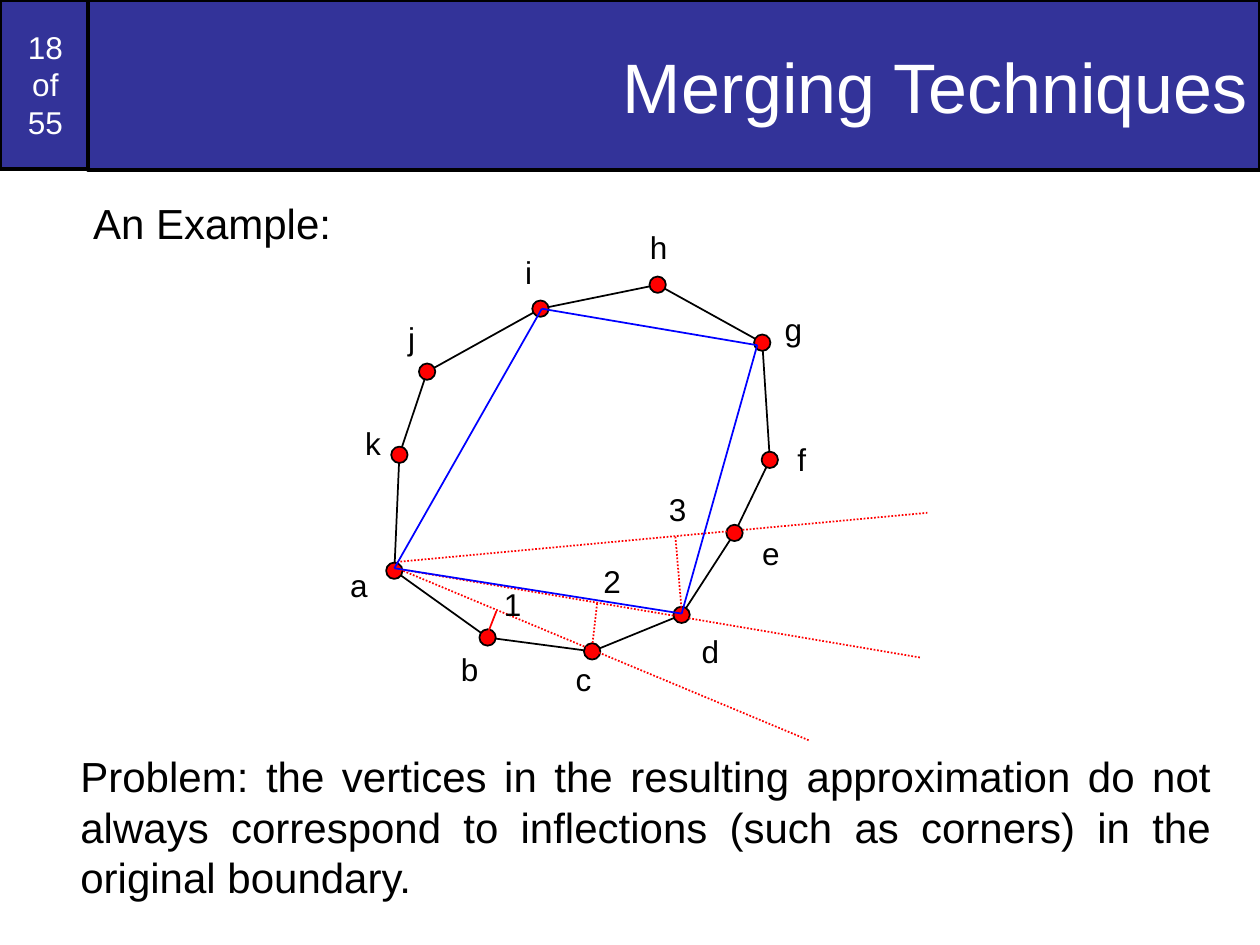
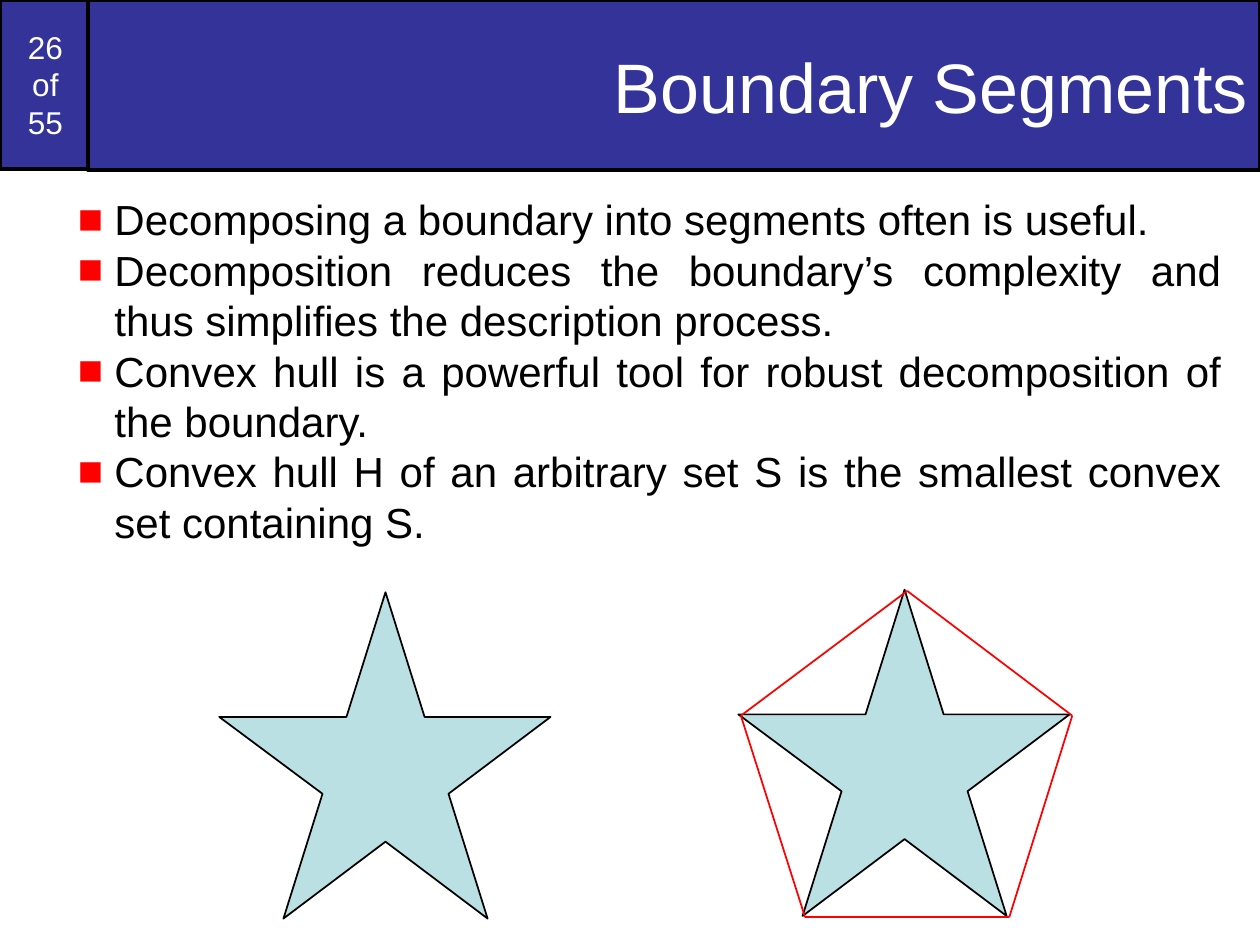
from itertools import pairwise

from lxml import etree
from pptx import Presentation
from pptx import util as u
from pptx.dml.color import RGBColor
from pptx.enum import dml, shapes, text
from pptx.oxml import ns

FONT = "Arial"
COLORS = {
    "band": "333399", "black": "000000", "white": "FFFFFF",
    "red": "FF0000", "blue": "0000FF", "star": "BBE0E3",
}
ALIGN = {
    "left": text.PP_ALIGN.LEFT, "center": text.PP_ALIGN.CENTER,
    "right": text.PP_ALIGN.RIGHT, "justify": text.PP_ALIGN.JUSTIFY,
}
SLIDE_COUNT = 55

# name: (centre x, centre y, label left, label top)
VERTICES = {
    "a": (3.13, 4.53, 2.68, 4.44),
    "b": (3.87, 5.06, 3.56, 5.11),
    "c": (4.70, 5.17, 4.47, 5.19),
    "d": (5.41, 4.88, 5.47, 4.97),
    "e": (5.83, 4.23, 5.95, 4.19),
    "f": (6.11, 3.65, 6.23, 3.44),
    "g": (6.05, 2.72, 6.13, 2.41),
    "h": (5.22, 2.26, 5.06, 1.76),
    "i": (4.29, 2.45, 4.07, 1.96),
    "j": (3.39, 2.95, 3.14, 2.48),
    "k": (3.17, 3.61, 2.80, 3.32),
}
LABEL_WIDTHS = {"c": 0.32, "f": 0.27, "i": 0.25, "j": 0.25, "k": 0.32}
MERGED = [(5.41, 4.87), (6.01, 2.74), (4.30, 2.45), (3.13, 4.51)]
RAYS = [
    ((3.15, 4.51), (6.43, 5.88)),
    ((3.13, 4.51), (7.31, 5.22)),
    ((3.15, 4.46), (7.36, 4.07)),
]
# distance number: (from, to, label left, label top)
DISTANCES = {
    "1": ((3.87, 5.03), (3.94, 4.85), 3.90, 4.59),
    "2": ((4.70, 5.13), (4.74, 4.78), 4.69, 4.41),
    "3": ((5.41, 4.85), (5.36, 4.25), 5.21, 3.84),
}
STAR = [
    (0, 0.99), (1.01, 0.99), (1.32, 0), (1.63, 0.99), (2.63, 0.99),
    (1.82, 1.6), (2.13, 2.59), (1.32, 1.98), (0.51, 2.59), (0.82, 1.6),
]
BULLETS = [
    "Decomposing a boundary into segments often is useful.",
    "Decomposition reduces the boundary’s complexity and thus simplifies the description process.",
    "Convex hull is a powerful tool for robust decomposition of the boundary.",
    "Convex hull H of an arbitrary set S is the smallest convex set containing S.",
]


def rgb(name):
    return RGBColor.from_string(COLORS[name])


def add_bullet(p):
    p_pr = p._p.get_or_add_pPr()
    p_pr.set("marL", str(u.Inches(0.29)))
    p_pr.set("indent", str(-u.Inches(0.29)))
    color = etree.SubElement(p_pr, ns.qn("a:buClr"))
    etree.SubElement(color, ns.qn("a:srgbClr"), val=COLORS["red"])
    etree.SubElement(p_pr, ns.qn("a:buFont"), typeface=FONT)
    etree.SubElement(p_pr, ns.qn("a:buChar"), char="■")


def write(tf, content, size=24, color="black", align="left", bullet=False):
    """Fill a text frame with one string or a list of paragraphs."""
    lines = [content] if isinstance(content, str) else content
    for n, line in enumerate(lines):
        p = tf.add_paragraph() if n else tf.paragraphs[0]
        p.text = line
        p.alignment = ALIGN[align]
        p.line_spacing = u.Pt(1.2 * size)
        if bullet:
            add_bullet(p)
        for r in p.runs:
            r.font.name = FONT
            r.font.size = u.Pt(size)
            r.font.color.rgb = rgb(color)


def closed(points):
    return pairwise([*points, points[0]])


class Deck:
    def __init__(self):
        self.prs = Presentation()
        self.prs.slide_width = u.Inches(10)
        self.prs.slide_height = u.Inches(7.5)
        self.s = None

    def slide(self, number, title):
        self.s = self.prs.slides.add_slide(self.prs.slide_layouts[6])
        self.band(0, 0.72, 1.34, f"{number}\vof\v{SLIDE_COUNT}", 18, "center")
        self.band(0.7, 9.3, 1.35, title, 40, "right")

    def paint(self, sp, fill, width=1):
        sp.shadow.inherit = False
        sp.fill.solid()
        sp.fill.fore_color.rgb = rgb(fill)
        sp.line.color.rgb = rgb("black")
        sp.line.width = u.Pt(width)
        return sp

    def shape(self, kind, x, y, w, h, fill, width=1):
        sp = self.s.shapes.add_shape(
            kind, u.Inches(x), u.Inches(y), u.Inches(w), u.Inches(h))
        return self.paint(sp, fill, width)

    def band(self, x, w, h, content, size, align):
        sp = self.shape(shapes.MSO_SHAPE.RECTANGLE, x, 0, w, h, "band", 2)
        tf = sp.text_frame
        tf.word_wrap = True
        tf.vertical_anchor = text.MSO_ANCHOR.MIDDLE
        write(tf, content, size=size, color="white", align=align)

    def dot(self, x, y, size=0.13):
        self.shape(shapes.MSO_SHAPE.OVAL, x - size / 2, y - size / 2,
                   size, size, "red")

    def text(self, content, x, y, w, h, wrap=True, **style):
        sp = self.s.shapes.add_textbox(
            u.Inches(x), u.Inches(y), u.Inches(w), u.Inches(h))
        tf = sp.text_frame
        tf.word_wrap = wrap
        tf.auto_size = text.MSO_AUTO_SIZE.SHAPE_TO_FIT_TEXT
        write(tf, content, **style)

    def label(self, name, x, y):
        self.text(name, x, y, LABEL_WIDTHS.get(name, 0.34), 0.4,
                  wrap=False, size=18)

    def line(self, start, end, color="black", dotted=False):
        ends = [u.Inches(v) for v in (*start, *end)]
        c = self.s.shapes.add_connector(shapes.MSO_CONNECTOR.STRAIGHT, *ends)
        c.line.color.rgb = rgb(color)
        c.line.width = u.Pt(1)
        if dotted:
            c.line.dash_style = dml.MSO_LINE.ROUND_DOT
        etree.SubElement(c._element.spPr, ns.qn("a:effectLst"))

    def polygon(self, points, color="black"):
        """Draw a closed outline from separate lines."""
        for start, end in closed(points):
            self.line(start, end, color)

    def star(self, x, y):
        points = [(u.Inches(x + dx), u.Inches(y + dy)) for dx, dy in STAR]
        fb = self.s.shapes.build_freeform(*points[0])
        fb.add_line_segments(points[1:], close=True)
        self.paint(fb.convert_to_shape(), "star")


def merging_slide(deck):
    deck.slide(18, "Merging Techniques")
    centres = [v[:2] for v in VERTICES.values()]
    deck.polygon(centres)
    for centre in centres:
        deck.dot(*centre)
    for name, (_, _, x, y) in VERTICES.items():
        deck.label(name, x, y)
    for start, end in RAYS:
        deck.line(start, end, "red", dotted=True)
    for number, (start, end, x, y) in DISTANCES.items():
        deck.line(start, end, "red", dotted=number != "1")
        deck.label(number, x, y)
    deck.polygon(MERGED, "blue")
    deck.text("An Example:", 0.64, 1.52, 2.09, 0.5, wrap=False)
    deck.text("Problem: the vertices in the resulting approximation do not "
              "always correspond to inflections (such as corners) in the "
              "original boundary.", 0.54, 5.91, 9.17, 1.3, align="justify")


def segments_slide(deck):
    deck.slide(26, "Boundary Segments")
    deck.text(BULLETS, 0.52, 1.49, 9.27, 2.9, align="justify", bullet=True)
    deck.star(1.74, 4.7)
    deck.star(5.86, 4.68)
    deck.polygon([(5.88 + dx, 4.69 + dy) for dx, dy in STAR[::2]], "red")


def main():
    deck = Deck()
    merging_slide(deck)
    segments_slide(deck)
    deck.prs.save("out.pptx")


if __name__ == "__main__":
    main()
